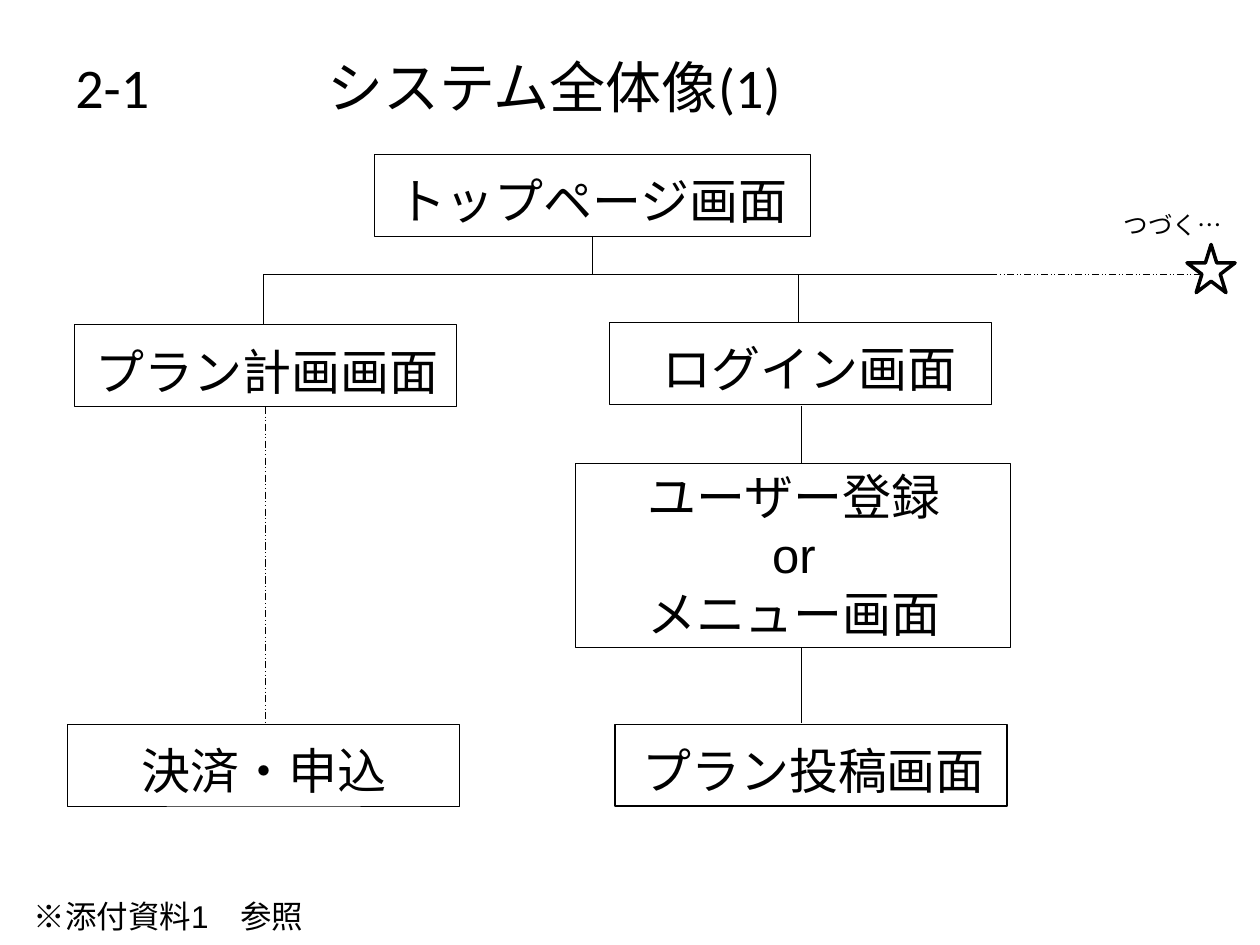
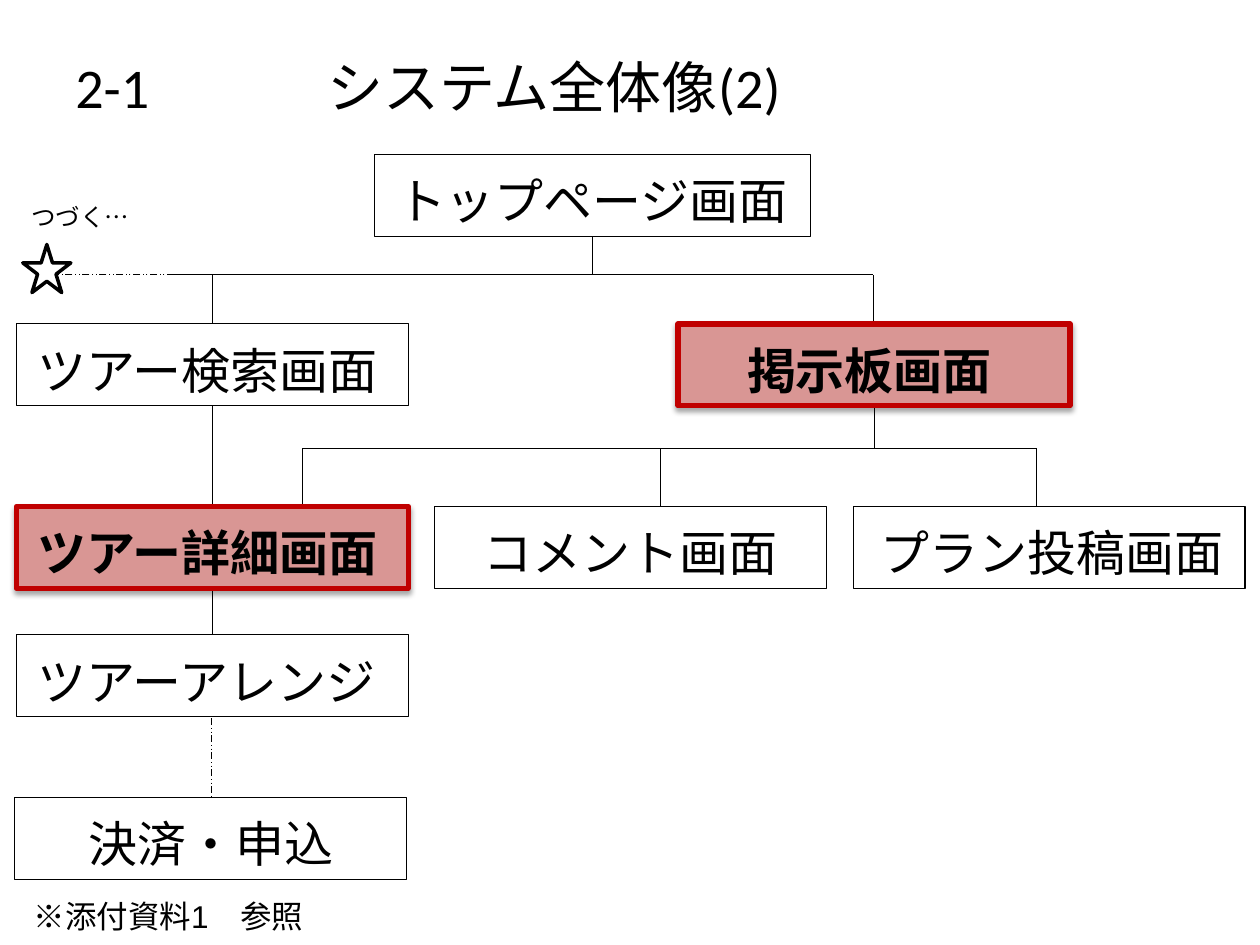
from lxml import etree
from pptx import Presentation
from pptx import util as u
from pptx.dml.color import RGBColor
from pptx.enum import dml, shapes, text
from pptx.oxml import ns

Cm, Pt = u.Cm, u.Pt
INK, PAPER, ROSE, RED = "000000", "FFFFFF", "D99694", "C00000"
HIGH = 1.65   # box height
RAIL = 5.54   # level of the line below the top page
FORK = 9.04   # level of the line below the board
NOTE = "※添付資料1　参照"

# Box styles: fill, line colour, line width, bold label
STYLES = {
    "plain": (PAPER, INK, 0.5, False),
    "clear": (None, INK, 0.75, False),
    "hot": (ROSE, RED, 3, True),
}

# Box: label, left, top, width, style, label left, label width, centred
TOP = ("トップページ画面", 7.54, 3.12, 8.79, "plain", 6.58, 10.72, True)
# Line: x1, y1, x2, y2, dashed
STEM = (11.94, 4.78, 11.94, RAIL, False)

SLIDES = [
    {
        "title": "システム全体像(1)",
        "star": 23.93,
        "more": (22.4, 4.11),
        "lines": [
            STEM,
            (5.31, 6.53, 5.31, RAIL, False),
            (5.31, RAIL, 19.96, RAIL, False),
            (19.96, RAIL, 24.51, RAIL, True),
            (16.1, 6.53, 16.1, RAIL, False),
            (16.15, 8.18, 16.15, 10.77, False),
            (16.15, 11.99, 16.15, 14.58, False),
            (5.36, 8.2, 5.36, 14.66, True),
        ],
        "boxes": [
            TOP,
            ("ログイン画面", 12.29, 6.5, 7.7, "plain", 13.11, 8.13, False),
            ("ユーザー登録\nor\nメニュー画面", 11.61, 9.35, 8.76, "plain", 10.9, 10.21, True),
            ("プラン計画画面", 1.5, 6.55, 7.7, "plain", 1.68, 9.63, False),
            ("決済・申込", 1.37, 14.6, 7.9, "plain", 1.45, 7.75, True),
            ("プラン投稿画面", 12.4, 14.6, 7.9, "clear", 12.7, 8.99, False),
        ],
    },
    {
        "title": "システム全体像(2)",
        "star": 0.46,
        "more": (0.38, 3.94),
        "lines": [
            STEM,
            (3.51, RAIL, 17.6, RAIL, False),
            (3.51, RAIL, 1.09, RAIL, True),
            (4.29, 6.53, 4.29, RAIL, False),
            (17.6, 6.53, 17.6, RAIL, False),
            (4.29, 8.18, 4.29, 10.21, False),
            (4.29, 11.86, 4.29, 12.8, False),
            (4.27, 14.48, 4.27, 16.13, True),
            (17.63, 8.18, 17.63, FORK, False),
            (20.9, FORK, 6.1, FORK, False),
            *[(x, 10.21, x, FORK, False) for x in (6.1, 13.31, 20.9)],
        ],
        "boxes": [
            TOP,
            ("ツアー検索画面", 0.33, 6.53, 7.9, "plain", 0.51, 8.99, False),
            ("ツアー詳細画面", 0.33, 10.21, 7.9, "hot", 0.51, 8.99, False),
            ("ツアーアレンジ", 0.33, 12.8, 7.9, "plain", 0.51, 10.21, False),
            ("掲示板画面", 13.67, 6.53, 7.9, "hot", 14.81, 8.99, False),
            ("コメント画面", 8.76, 10.21, 7.9, "clear", 9.5, 8.99, False),
            ("プラン投稿画面", 17.2, 10.21, 7.9, "clear", 17.5, 8.99, False),
            ("決済・申込", 0.3, 16.08, 7.9, "plain", 0.38, 7.75, True),
        ],
    },
]


def tint(code):
    return RGBColor.from_string(code)


def write(page, words, x, y, w, h, size, font="Arial", bold=False, mid=False, wrap=True):
    box = page.shapes.add_textbox(Cm(x), Cm(y), Cm(w), Cm(h))
    frame = box.text_frame
    frame.text = words
    frame.word_wrap = wrap
    frame.auto_size = text.MSO_AUTO_SIZE.SHAPE_TO_FIT_TEXT
    for para in frame.paragraphs:
        para.font.name, para.font.size = font, Pt(size)
        para.font.bold = bold
        para.font.color.rgb = tint(INK)
        para.alignment = text.PP_ALIGN.CENTER if mid else text.PP_ALIGN.LEFT
    return frame


def draw(page, kind, x, y, w, h, fill, edge, width):
    shape = page.shapes.add_shape(kind, Cm(x), Cm(y), Cm(w), Cm(h))
    shape.shadow.inherit = False
    if fill:
        shape.fill.solid()
        shape.fill.fore_color.rgb = tint(fill)
    else:
        shape.fill.background()
    shape.line.color.rgb = tint(edge)
    shape.line.width = Pt(width)
    return shape


def shade(shape):
    """Add a soft shadow straight below the shape."""
    group = shape._element.spPr.find(ns.qn("a:effectLst"))
    drop = etree.SubElement(group, ns.qn("a:outerShdw"), blurRad="40000",
                            dist="23000", dir="5400000", rotWithShape="0")
    color = etree.SubElement(drop, ns.qn("a:srgbClr"), val=INK)
    etree.SubElement(color, ns.qn("a:alpha"), val="35000")


def link(page, x1, y1, x2, y2, dashed):
    line = page.shapes.add_connector(
        shapes.MSO_CONNECTOR.STRAIGHT, Cm(x1), Cm(y1), Cm(x2), Cm(y2))
    line.line.color.rgb = tint(INK)
    line.line.width = Pt(0.5)
    if dashed:
        line.line.dash_style = dml.MSO_LINE.DASH_DOT_DOT
    etree.SubElement(line._element.spPr, ns.qn("a:effectLst"))


def node(page, label, x, y, w, style, left, span, mid):
    fill, edge, width, bold = STYLES[style]
    tall = "\n" in label
    shape = draw(page, shapes.MSO_SHAPE.RECTANGLE, x, y, w,
                 3.71 if tall else HIGH, fill, edge, width)
    if style == "hot":
        shade(shape)
    drop, high = (-0.08, 3.84) if tall else (0.2, 1.45)
    write(page, label, left, y + drop, span, high, 28, bold=bold, mid=mid)


def build(deck, data):
    page = deck.slides.add_slide(deck.slide_layouts[6])
    # Title: number, then name at the third tab
    head = write(page, "2-1\t\t\t" + data["title"], 1.27, 0.76, 22.86, 1.96, 32, "Calibri")
    head.auto_size = text.MSO_AUTO_SIZE.NONE
    head.vertical_anchor = text.MSO_ANCHOR.MIDDLE
    # Tree
    for line in data["lines"]:
        link(page, *line)
    for box in data["boxes"]:
        node(page, *box)
    # Continuation mark
    draw(page, shapes.MSO_SHAPE.STAR_5_POINT, data["star"], 4.93, 0.97, 0.97, PAPER, INK, 2)
    write(page, "つづく…", *data["more"], 2.51, 0.86, 14, wrap=False)
    # Footnote
    write(page, NOTE, 0.43, 17.96, 9.4, 1.02, 18)


def main():
    deck = Presentation()
    deck.slide_width, deck.slide_height = Cm(25.4), Cm(19.05)
    for data in SLIDES:
        build(deck, data)
    deck.save("out.pptx")


if __name__ == "__main__":
    main()
